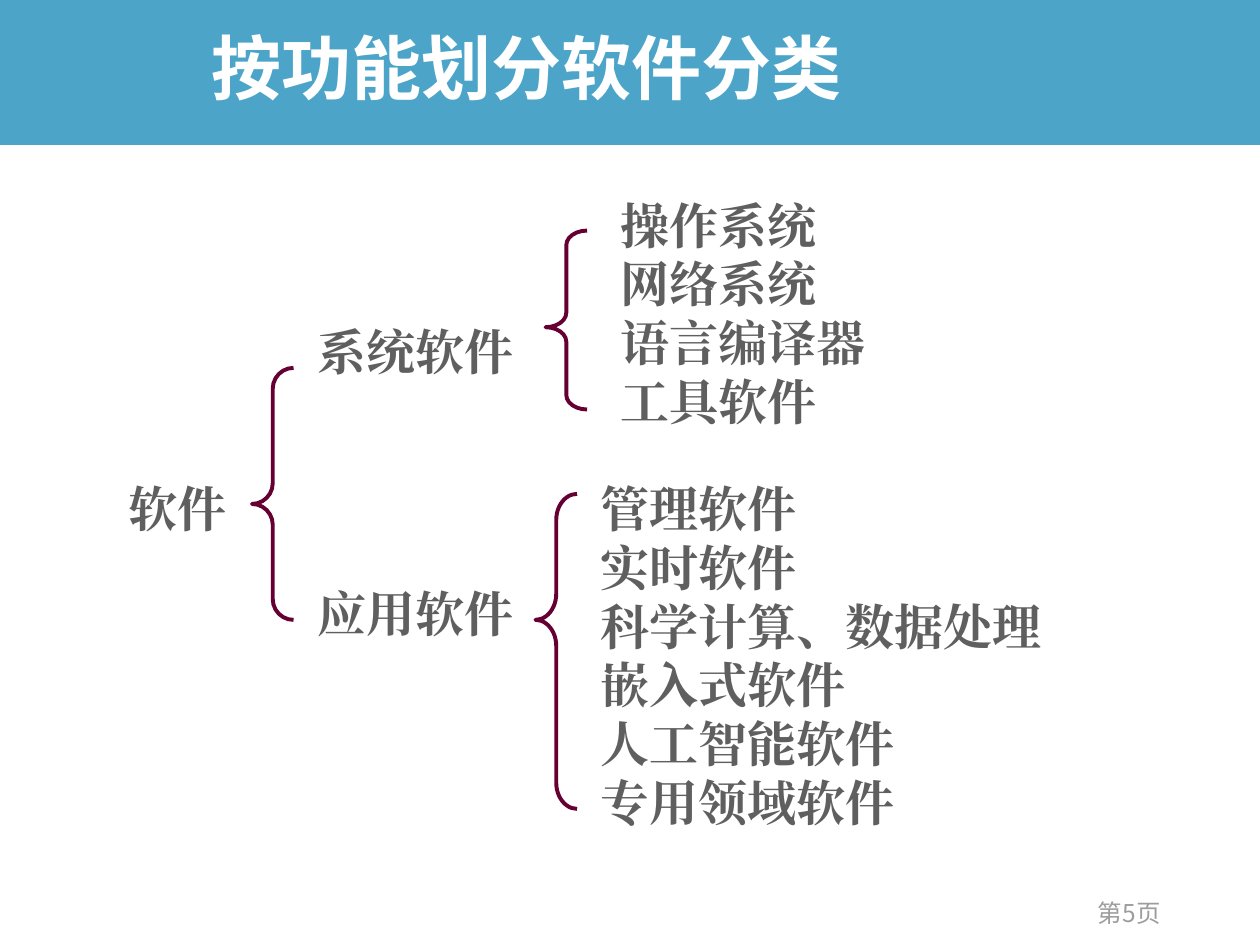
import dataclasses

import lxml.etree
import pptx
import pptx.dml.color
import pptx.enum.shapes
import pptx.enum.text
import pptx.oxml.ns
import pptx.util

Inches = pptx.util.Inches
Pt = pptx.util.Pt
Align = pptx.enum.text.PP_ALIGN
Anchor = pptx.enum.text.MSO_ANCHOR
AutoSize = pptx.enum.text.MSO_AUTO_SIZE
Shape = pptx.enum.shapes.MSO_SHAPE
qn = pptx.oxml.ns.qn


@dataclasses.dataclass(frozen=True)
class Theme:
    band: str = "0080B2"
    band_opacity: int = 70
    title: str = "FFFFFF"
    body: str = "5F5F5F"
    footer: str = "9D9D9D"
    brace: str = "660033"
    title_size: int = 40
    body_size: int = 28
    footer_size: int = 14
    brace_width: float = 2.25
    body_pitch: float = 33.6
    sans: str = "Noto Sans CJK SC"
    serif: str = "Times New Roman"


def rgb(value):
    return pptx.dml.color.RGBColor.from_string(value)


def apply(target, formats):
    for name, value in formats.items():
        setattr(target, name, value)


class SlideBuilder:
    def __init__(self, slide, theme):
        self.slide = slide
        self.theme = theme

    def fill_text(self, frame, lines, font, frame_format, paragraph_format):
        """Fill a text frame, one paragraph per line."""
        apply(frame, frame_format)
        frame.text = "\n".join(lines)
        size, color, face, bold = font
        for paragraph in frame.paragraphs:
            apply(paragraph, paragraph_format)
            for run in paragraph.runs:
                apply(run.font, {"size": Pt(size), "name": face, "bold": bold})
                run.font.color.rgb = rgb(color)
                properties = run.font.color.rgb and run._r.get_or_add_rPr()
                east_asian = lxml.etree.SubElement(properties, qn("a:ea"))
                east_asian.set("typeface", face)

    def title(self, text, left, top, width, height):
        heading = self.slide.shapes.title
        apply(heading, {"left": Inches(left), "top": Inches(top),
                        "width": Inches(width), "height": Inches(height)})
        theme = self.theme
        self.fill_text(heading.text_frame, [text],
                       (theme.title_size, theme.title, theme.sans, True),
                       {"vertical_anchor": Anchor.BOTTOM, "word_wrap": True,
                        "auto_size": AutoSize.NONE},
                       {"alignment": Align.LEFT, "line_spacing": 0.9,
                        "space_before": Pt(0)})

    def band(self, left, top, width, height):
        """Translucent strip, placed behind the title."""
        strip = self.slide.shapes.add_shape(
            Shape.RECTANGLE, *map(Inches, (left, top, width, height)))
        strip.shadow.inherit = False
        strip.fill.solid()
        strip.fill.fore_color.rgb = rgb(self.theme.band)
        strip.line.fill.background()
        color = strip.element.spPr.find(qn("a:solidFill")).find(qn("a:srgbClr"))
        alpha = lxml.etree.SubElement(color, qn("a:alpha"))
        alpha.set("val", str(self.theme.band_opacity * 1000))
        self.slide.shapes.title.element.addprevious(strip.element)

    def labels(self, lines, left, top, width, height):
        box = self.slide.shapes.add_textbox(
            *map(Inches, (left, top, width, height)))
        theme = self.theme
        self.fill_text(box.text_frame, lines,
                       (theme.body_size, theme.body, theme.serif, True),
                       {"word_wrap": False,
                        "auto_size": AutoSize.SHAPE_TO_FIT_TEXT},
                       {"alignment": Align.LEFT,
                        "line_spacing": Pt(theme.body_pitch)})

    def brace(self, left, top, height, curve, point):
        brace = self.slide.shapes.add_shape(
            Shape.LEFT_BRACE, *map(Inches, (left, top, 0.33, height)))
        brace.shadow.inherit = False
        brace.fill.background()
        brace.line.color.rgb = rgb(self.theme.brace)
        brace.line.width = Pt(self.theme.brace_width)
        brace.adjustments[0] = curve
        brace.adjustments[1] = point

    def page_number(self, text, left, top, width, height):
        box = self.slide.shapes.add_textbox(
            *map(Inches, (left, top, width, height)))
        theme = self.theme
        self.fill_text(box.text_frame, [text],
                       (theme.footer_size, theme.footer, theme.sans, False),
                       {"word_wrap": True, "vertical_anchor": Anchor.BOTTOM},
                       {"alignment": Align.RIGHT})


def main():
    deck = pptx.Presentation()
    apply(deck, {"slide_width": Inches(10), "slide_height": Inches(7.5)})
    title_only = deck.slide_layouts[5]
    builder = SlideBuilder(deck.slides.add_slide(title_only), Theme())

    # Header and footer
    builder.band(-0.01, -0.02, 10.01, 1.17)
    builder.title("按功能划分软件分类", 1.58, 0, 7.33, 0.92)
    builder.page_number("第5页", 7.06, 7.01, 2.25, 0.4)

    # Root and its two branches
    builder.labels(["软件"], 0.92, 3.75, 0.98, 0.57)
    for branch, top in (("系统软件", 2.5), ("应用软件", 4.58)):
        builder.labels([branch], 2.42, top, 1.76, 0.57)

    # Kinds of system and application software
    builder.labels(["操作系统", "网络系统", "语言编译器", "工具软件"],
                   4.83, 1.5, 2.15, 1.97)
    builder.labels(["管理软件", "实时软件", "科学计算、数据处理",
                    "嵌入式软件", "人工智能软件", "专用领域软件"],
                   4.67, 3.75, 3.7, 2.9)

    # Braces: left, top, height, curve, point
    for brace in ((2, 2.92, 2, 0.5, 0.54),
                  (4.33, 1.83, 1.42, 0.35, 0.54),
                  (4.25, 3.92, 2.5, 0.63, 0.4)):
        builder.brace(*brace)

    deck.save("out.pptx")


if __name__ == "__main__":
    main()
